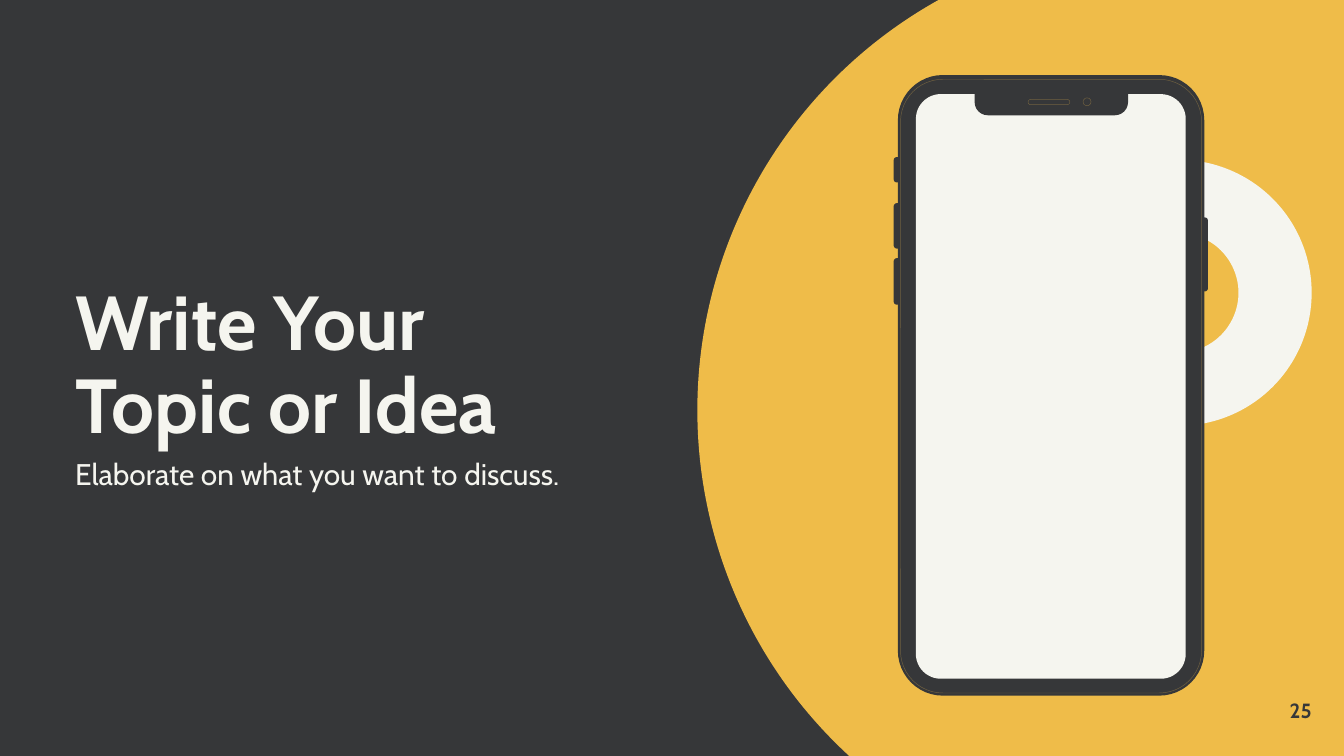
import pptx
import pptx.util
import pptx.dml.color
import pptx.enum.shapes
import pptx.enum.text

Cm = pptx.util.Cm
RGBColor = pptx.dml.color.RGBColor
MSO_SHAPE = pptx.enum.shapes.MSO_SHAPE
PP_ALIGN = pptx.enum.text.PP_ALIGN
MSO_ANCHOR = pptx.enum.text.MSO_ANCHOR

DARK = RGBColor(0x36, 0x37, 0x39)
YELLOW = RGBColor(0xEF, 0xBC, 0x49)
CREAM = RGBColor(0xF5, 0xF5, 0xEF)
SEAM = RGBColor(0x70, 0x60, 0x40)


def write_text(sp, text, size, color, bold=False, align=PP_ALIGN.LEFT,
               anchor=MSO_ANCHOR.TOP, line_spacing=1.0, space_after=0):
    tf = sp.text_frame
    tf.word_wrap = True
    tf.auto_size = pptx.enum.text.MSO_AUTO_SIZE.NONE
    tf.vertical_anchor = anchor
    tf.margin_left = tf.margin_right = tf.margin_top = tf.margin_bottom = 0
    p = tf.paragraphs[0]
    p.alignment = align
    p.line_spacing = line_spacing
    p.space_before = pptx.util.Pt(0)
    p.space_after = pptx.util.Pt(space_after)
    r = p.add_run()
    r.text = text
    r.font.name = "Cabin"
    r.font.size = pptx.util.Pt(size)
    r.font.bold = bold
    r.font.color.rgb = color


def add_shape(kind, x, y, w, h, fill, adjustments=(), line=None):
    sp = s.shapes.add_shape(kind, Cm(x), Cm(y), Cm(w), Cm(h))
    sp.shadow.inherit = False
    sp.fill.solid()
    sp.fill.fore_color.rgb = fill
    if line is None:
        sp.line.fill.background()
    else:
        sp.line.color.rgb = line
        sp.line.width = pptx.util.Pt(0.25)
    for i, value in enumerate(adjustments):
        sp.adjustments[i] = value


prs = pptx.Presentation()
prs.slide_width = Cm(25.4)
prs.slide_height = Cm(14.29)
s = prs.slides.add_slide(prs.slide_layouts[5])
s.background.fill.solid()
s.background.fill.fore_color.rgb = DARK

add_shape(MSO_SHAPE.OVAL, 13.18, -1.12, 17.75, 17.75, YELLOW)
add_shape(MSO_SHAPE.DONUT, 19.76, 3.02, 5.03, 5.03, CREAM, [0.275])

for x, y, h in [(16.89, 2.97, 0.48), (16.89, 3.84, 0.86), (16.89, 4.88, 0.88), (22.53, 4.11, 1.4)]:
    add_shape(MSO_SHAPE.ROUNDED_RECTANGLE, x, y, 0.3, h, DARK, [0.2])

for x, y, w, h, radius, fill, line in [
    (16.97, 1.42, 5.79, 11.73, 0.85, DARK, None),
    (17.02, 1.5, 5.69, 11.6, 0.8, DARK, SEAM),
    (17.31, 1.78, 5.1, 11.05, 0.47, CREAM, None),
]:
    add_shape(MSO_SHAPE.ROUNDED_RECTANGLE, x, y, w, h, fill, [radius / w], line)

add_shape(MSO_SHAPE.ROUND_2_SAME_RECTANGLE, 18.42, 1.68, 2.9, 0.5, DARK, [0, 0.5])
add_shape(MSO_SHAPE.ROUNDED_RECTANGLE, 19.43, 1.88, 0.79, 0.1, DARK, [0.5], SEAM)
add_shape(MSO_SHAPE.OVAL, 20.47, 1.85, 0.15, 0.15, DARK, line=SEAM)

title = s.shapes.title
title.left, title.top, title.width, title.height = Cm(1.42), Cm(4.6), Cm(10.21), Cm(3.91)
write_text(title, "Write Your Topic or Idea", 41, CREAM, bold=True,
           anchor=MSO_ANCHOR.BOTTOM, line_spacing=0.9)

subtitle = s.shapes.add_textbox(Cm(1.42), Cm(8.51), Cm(10.21), Cm(0.74))
write_text(subtitle, "Elaborate on what you want to discuss.", 16, CREAM,
           line_spacing=1.15, space_after=8)

number = s.shapes.add_textbox(Cm(23.27), Cm(13.18), Cm(1.52), Cm(0.51))
write_text(number, "25", 11, DARK, bold=True, align=PP_ALIGN.RIGHT, anchor=MSO_ANCHOR.MIDDLE)

prs.save("out.pptx")
